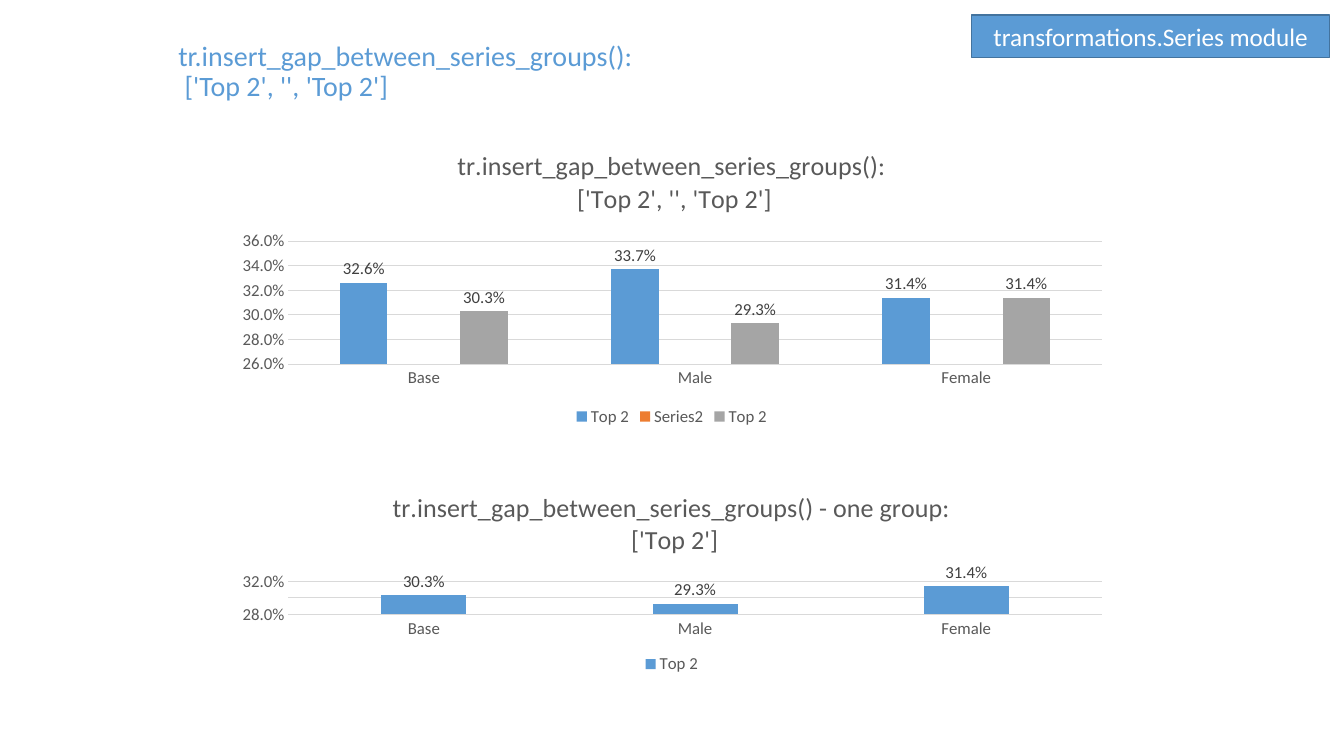
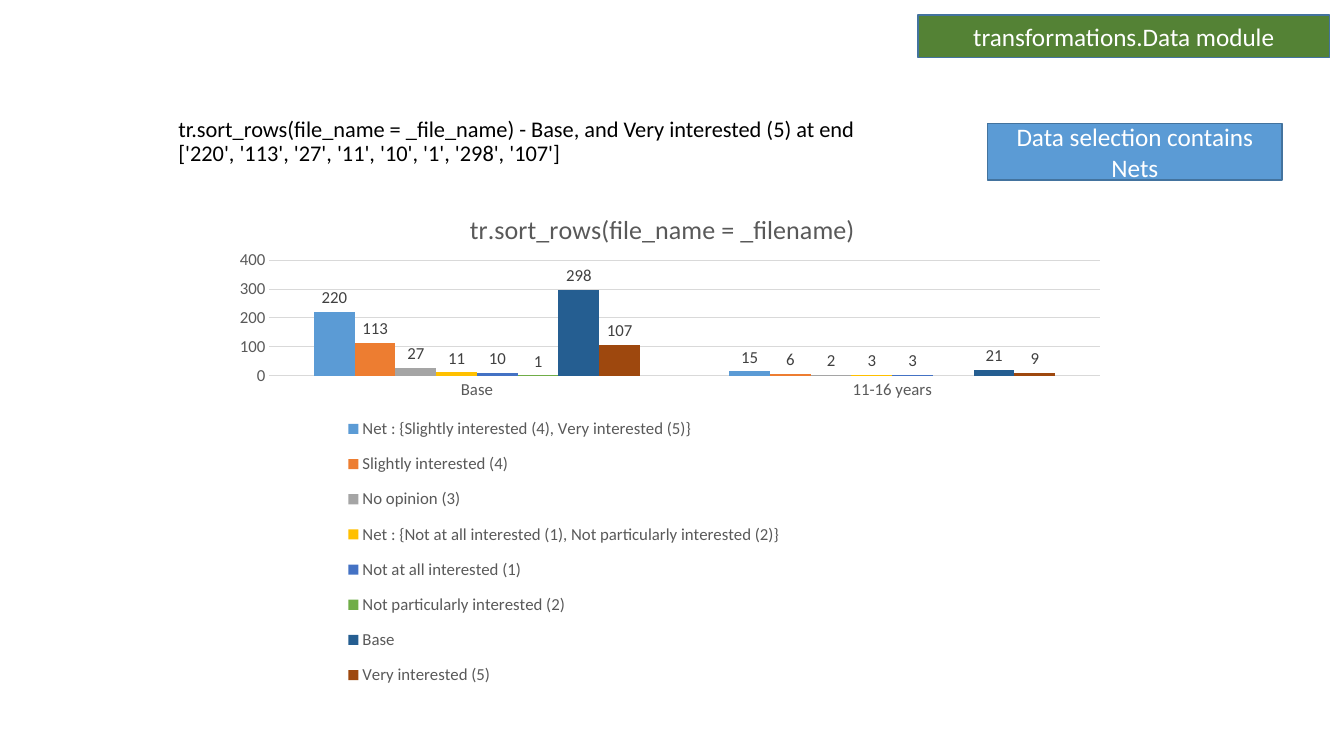
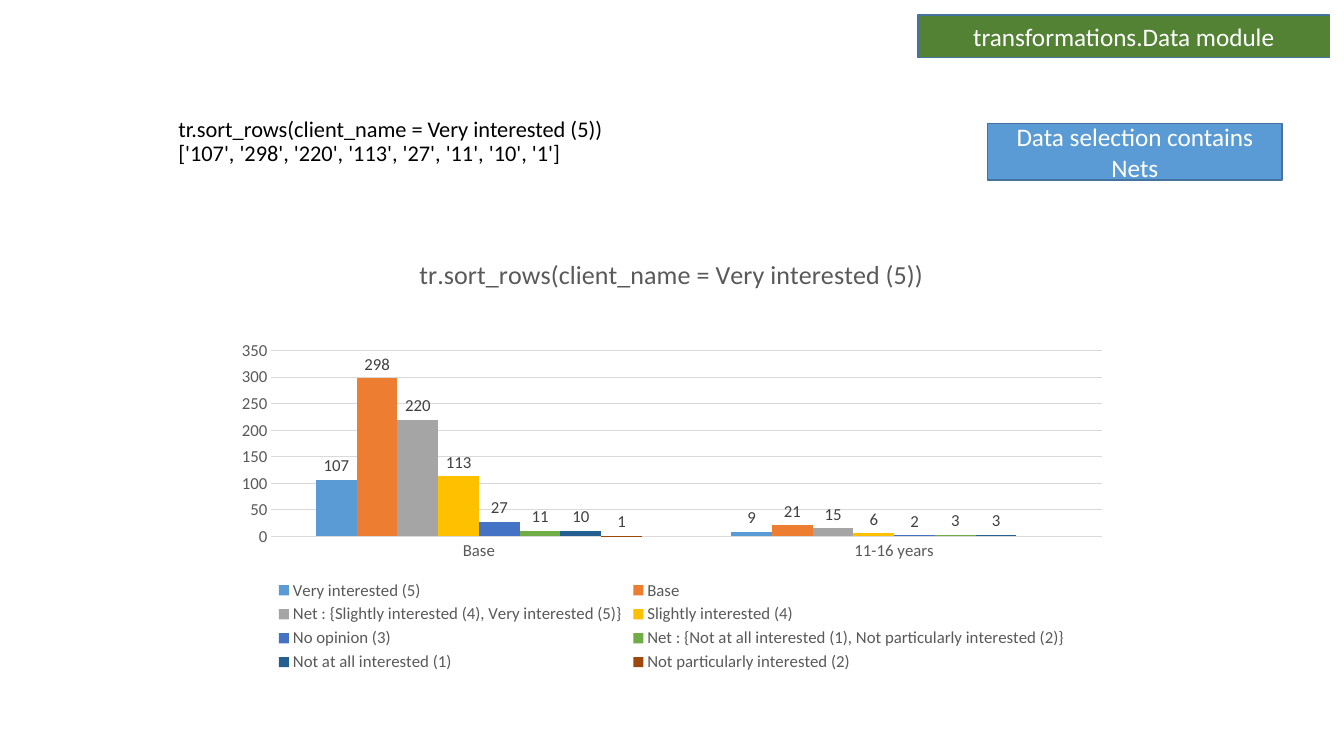
from lxml import etree
from pptx import Presentation
from pptx.chart.data import CategoryChartData
from pptx.dml.color import RGBColor
from pptx.enum import chart as charts, shapes, text
from pptx.oxml.ns import qn
from pptx.util import Cm, Pt

# Shared style
PALETTE = ["5B9BD5", "ED7D31", "A5A5A5", "FFC000", "4472C4", "70AD47", "255E91", "9E480E"]
BLUE, GREEN, OUTLINE = PALETTE[0], "548235", "43739E"
WHITE, BLACK, GREY, LABEL, RULE = "FFFFFF", "000000", "595959", "404040", "D9D9D9"


def paint(target, color, **formats):
    """Colour a font or a fill, and set its other format values."""
    if hasattr(target, "solid"):
        target.solid()
        target.fore_color.rgb = RGBColor.from_string(color)
    else:
        target.color.rgb = RGBColor.from_string(color)
        formats = {"name": "Calibri", **formats}
    for name, value in formats.items():
        setattr(target, name, value)


def place_part(part, index, percents):
    """Give a plot area or legend a fixed place, in percent of the chart."""
    for old in part.findall(qn("c:layout")):
        part.remove(old)
    layout = etree.Element(qn("c:layout"))
    manual = etree.SubElement(layout, qn("c:manualLayout"))
    settings = {"xMode": "edge", "yMode": "edge"}
    if part.tag == qn("c:plotArea"):
        settings = {"layoutTarget": "inner", **settings}
    settings.update(zip("xywh", (str(round(p / 100, 4)) for p in percents)))
    for name, value in settings.items():
        etree.SubElement(manual, qn(f"c:{name}"), val=value)
    part.insert(index, layout)


# Content
GENDERS = ["Base", "Male", "Female"]
AGES = ["Base", "11-16 years"]
FIRST_TOP, SECOND_TOP = (0.326, 0.337, 0.314), (0.303, 0.293, 0.314)
INTEREST = {
    "Net : {Slightly interested (4), Very interested (5)}": (220, 15),
    "Slightly interested (4)": (113, 6),
    "No opinion (3)": (27, 2),
    "Net : {Not at all interested (1), Not particularly interested (2)}": (11, 3),
    "Not at all interested (1)": (10, 3),
    "Not particularly interested (2)": (1, None),
    "Base": (298, 21),
    "Very interested (5)": (107, 9),
}
by_file = list(INTEREST.items())
by_client = by_file[:-3:-1] + by_file[:-2]

series_banner = ("transformations.Series module", BLUE, (24.49, 0.38, 9.02, 1.07))
data_banner = ("transformations.Data module", GREEN, (23.14, 0.38, 10.36, 1.07))
nets_note = ("Data selection contains Nets", BLUE, (24.89, 3.12, 7.42, 1.42))
series_heading = {"box": (4.24, 0.94, 25.4, 1.78), "size": 20, "color": BLUE}
data_heading = {"box": (4.24, 2.39, 25.4, 1.93), "size": 16, "color": BLACK}

pages = [
    {
        "title": "tr.insert_gap_between_series_groups():\v ['Top 2', '', 'Top 2']",
        "heading": series_heading,
        "banners": [series_banner],
        "charts": [
            {"title": "tr.insert_gap_between_series_groups():\n ['Top 2', '', 'Top 2']",
             "box": (5.64, 3.38, 22.58, 7.47), "plot": (7.2, 36.1, 90.8, 41.5),
             "categories": GENDERS, "format": "0.0%", "overlap": -27, "scale": (0.26, 0.36, 0.02),
             "series": [("Top 2", FIRST_TOP), ("Series2", (None,) * 3), ("Top 2", SECOND_TOP)]},
            {"title": "tr.insert_gap_between_series_groups() - one group:\n ['Top 2']",
             "box": (5.64, 12.04, 22.58, 5.05), "plot": (7.2, 51.7, 90.8, 16.5),
             "categories": GENDERS, "format": "0.0%", "overlap": -27, "scale": (0.28, 0.32, 0.02),
             "series": [("Top 2", SECOND_TOP)]},
        ],
    },
    {
        "title": "tr.sort_rows(file_name = _file_name) - Base, and Very interested (5) at end "
                 "\v['220', '113', '27', '11', '10', '1', '298', '107']",
        "heading": data_heading,
        "banners": [data_banner, nets_note],
        "charts": [
            {"title": "tr.sort_rows(file_name = _filename)",
             "box": (5.41, 4.8, 22.58, 13.11), "plot": (6.1, 13.4, 92.7, 22.2),
             "legend": (13, 41, 52, 57),
             "categories": AGES, "format": "0", "overlap": 0, "scale": (0, 400, 100),
             "series": by_file},
        ],
    },
    {
        "title": "tr.sort_rows(client_name = Very interested (5))"
                 "\v['107', '298', '220', '113', '27', '11', '10', '1']",
        "heading": data_heading,
        "banners": [data_banner, nets_note],
        "charts": [
            {"title": "tr.sort_rows(client_name = Very interested (5))",
             "box": (5.64, 5.97, 22.58, 11.07), "plot": (5.3, 25.9, 92.7, 42.3),
             "categories": AGES, "format": "0", "overlap": 0, "scale": (0, 350, 50),
             "series": [by_client[0][::1], *by_client[1:]] if by_client[0][0] != "Base"
             else [by_client[1], by_client[0], *by_client[2:]]},
        ],
    },
]
pages[2]["charts"][0]["series"] = by_client

prs = Presentation()
prs.slide_width, prs.slide_height = Cm(33.87), Cm(19.05)

for page in pages:
    slide = prs.slides.add_slide(prs.slide_layouts[0])
    subtitle = slide.placeholders[1].element
    subtitle.getparent().remove(subtitle)

    # Heading
    heading, style = slide.shapes.title, page["heading"]
    for side, length in zip(("left", "top", "width", "height"), style["box"]):
        setattr(heading, side, Cm(length))
    frame = heading.text_frame
    frame.text = page["title"]
    frame.auto_size = text.MSO_AUTO_SIZE.NONE
    frame.vertical_anchor = text.MSO_ANCHOR.BOTTOM
    line = frame.paragraphs[0]
    line.alignment, line.line_spacing = text.PP_ALIGN.LEFT, 0.9
    for run in line.runs:
        paint(run.font, style["color"], size=Pt(style["size"]))

    # Charts
    for plan in page["charts"]:
        data = CategoryChartData(number_format=plan["format"])
        data.categories = plan["categories"]
        for name, values in plan["series"]:
            data.add_series(name, values)
        chart = slide.shapes.add_chart(
            charts.XL_CHART_TYPE.COLUMN_CLUSTERED, *map(Cm, plan["box"]), data).chart
        paint(chart.font, BLACK, size=Pt(10))

        chart.has_title = True
        chart.chart_title.text_frame.text = plan["title"]
        for line in chart.chart_title.text_frame.paragraphs:
            for run in line.runs:
                paint(run.font, GREY, size=Pt(18.6), bold=False)

        # Axes
        for axis in (chart.category_axis, chart.value_axis):
            axis.major_tick_mark = axis.minor_tick_mark = charts.XL_TICK_MARK.NONE
            paint(axis.tick_labels.font, GREY, size=Pt(12))
        value_axis = chart.value_axis
        value_axis.minimum_scale, value_axis.maximum_scale, value_axis.major_unit = plan["scale"]
        value_axis.tick_labels.number_format = plan["format"]
        value_axis.tick_labels.number_format_is_linked = False
        value_axis.format.line.fill.background()
        for rule in (chart.category_axis.format.line, value_axis.major_gridlines.format.line):
            rule.width = Pt(0.75)
            paint(rule.fill, RULE)

        # Columns and their labels
        plot = chart.plots[0]
        plot.gap_width, plot.overlap, plot.vary_by_categories = 219, plan["overlap"], False
        for column, color in zip(plot.series, PALETTE):
            paint(column.format.fill, color)
            column.invert_if_negative = False
            if any(value is not None for value in column.values):
                labels = column.data_labels
                labels.show_value = True
                labels.position = charts.XL_LABEL_POSITION.OUTSIDE_END
                labels.number_format, labels.number_format_is_linked = plan["format"], False
                paint(labels.font, LABEL, size=Pt(12))

        # Legend and plot area
        chart.has_legend = True
        chart.legend.position = charts.XL_LEGEND_POSITION.BOTTOM
        chart.legend.include_in_layout = False
        paint(chart.legend.font, GREY, size=Pt(12))
        place_part(chart.element.find(".//" + qn("c:plotArea")), 0, plan["plot"])
        if "legend" in plan:
            place_part(chart.element.find(".//" + qn("c:legend")), 1, plan["legend"])

    # Module banner and note
    for wording, color, box in page["banners"]:
        banner = slide.shapes.add_shape(shapes.MSO_SHAPE.RECTANGLE, *map(Cm, box))
        banner.shadow.inherit = False
        paint(banner.fill, color)
        paint(banner.line.fill, OUTLINE)
        banner.line.width = Pt(1)
        frame = banner.text_frame
        frame.text, frame.word_wrap = wording, True
        frame.vertical_anchor = text.MSO_ANCHOR.MIDDLE
        frame.paragraphs[0].alignment = text.PP_ALIGN.CENTER
        paint(frame.paragraphs[0].runs[0].font, WHITE, size=Pt(18))

prs.save("out.pptx")
